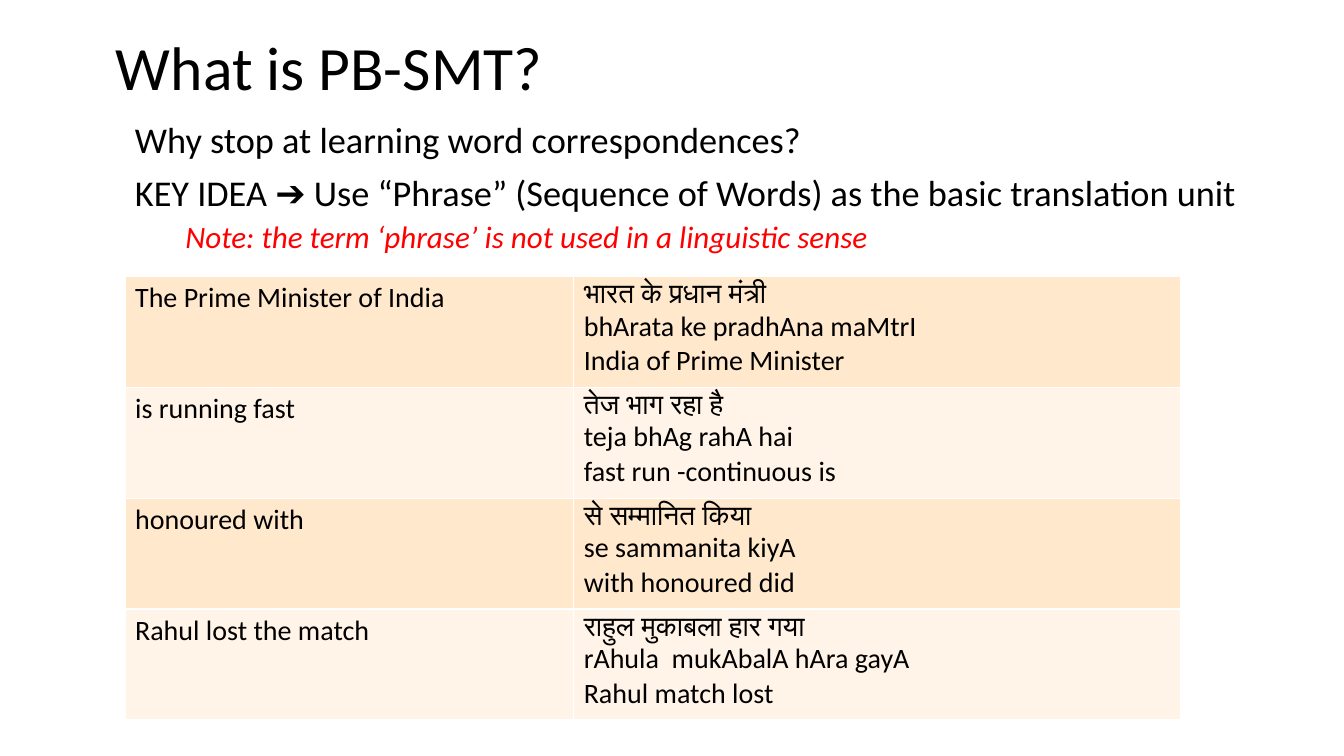
from lxml import etree
from pptx import Presentation
from pptx.dml.color import RGBColor
from pptx.enum.text import MSO_ANCHOR, MSO_AUTO_SIZE, PP_ALIGN
from pptx.oxml.ns import qn
from pptx.util import Inches, Pt

LEFT = PP_ALIGN.LEFT
MIDDLE = MSO_ANCHOR.MIDDLE
NO_FIT = MSO_AUTO_SIZE.NONE
TITLE_ONLY = 5

FONT = "Calibri"
COLORS = {
    "text": "000000",
    "note": "FF0000",
    "dark": "FFE8CC",
    "light": "FFF4E7",
    "edge": "FFFFFF",
}

POINTS = [
    "Why stop at learning word correspondences?",
    "KEY IDEA ➔ Use “Phrase” (Sequence of Words) as the basic translation unit",
]
NOTE = "Note: the term ‘phrase’ is not used in a linguistic sense"
PHRASES = [
    ("The Prime Minister of India",
     "भारत के प्रधान मंत्री\nbhArata ke pradhAna maMtrI\nIndia of Prime Minister"),
    ("is running fast",
     "तेज भाग रहा है\nteja bhAg rahA hai\nfast run -continuous is"),
    ("honoured with",
     "से सम्मानित किया\nse sammanita kiyA\nwith honoured did"),
    ("Rahul lost the match",
     "राहुल मुकाबला हार गया\nrAhula  mukAbalA hAra gayA\nRahul match lost"),
]


def style(para, size, color="text", italic=False):
    para.alignment = LEFT
    para.font.name = FONT
    para.font.size = Pt(size)
    para.font.italic = italic
    para.font.color.rgb = RGBColor.from_string(COLORS[color])


def add_title(slide, text, left, top, width, height):
    title = slide.shapes.title
    title.left, title.top = Inches(left), Inches(top)
    title.width, title.height = Inches(width), Inches(height)
    frame = title.text_frame
    frame.text = text
    frame.auto_size = NO_FIT
    frame.vertical_anchor = MIDDLE
    para = frame.paragraphs[0]
    para.line_spacing = 0.9
    style(para, 44)


def add_points(slide, left, top, width, height):
    box = slide.shapes.add_textbox(
        Inches(left), Inches(top), Inches(width), Inches(height))
    frame = box.text_frame
    frame.word_wrap = True
    frame.text = "\n".join(POINTS + [NOTE])
    for para in frame.paragraphs:
        para.line_spacing = 0.9
        para.space_before = Pt(10)
        style(para, 25.9)
    # The note sits one level in
    para.level = 1
    para.space_before = Pt(5)
    props = para._p.get_or_add_pPr()
    props.set("marL", str(Inches(0.5)))
    props.set("indent", "0")
    style(para, 22.2, "note", italic=True)


def add_edges(cell):
    props = cell._tc.get_or_add_tcPr()
    for spot, side in enumerate(("lnL", "lnR", "lnT", "lnB")):
        line = etree.Element(qn(f"a:{side}"), w=str(Pt(1)))
        fill = etree.SubElement(line, qn("a:solidFill"))
        etree.SubElement(fill, qn("a:srgbClr"), val=COLORS["edge"])
        props.insert(spot, line)


def add_phrases(slide, left, top, widths, tall):
    count = len(PHRASES)
    table = slide.shapes.add_table(
        count, len(widths), Inches(left), Inches(top),
        Inches(sum(widths)), Inches(tall * count)).table
    table.first_row = False
    for col, width in zip(table.columns, widths):
        col.width = Inches(width)
    for index, (row, texts) in enumerate(zip(table.rows, PHRASES)):
        row.height = Inches(tall)
        shade = COLORS["light" if index % 2 else "dark"]
        for cell, text in zip(row.cells, texts):
            cell.text = text
            cell.fill.solid()
            cell.fill.fore_color.rgb = RGBColor.from_string(shade)
            add_edges(cell)
            for para in cell.text_frame.paragraphs:
                style(para, 20)


def main():
    deck = Presentation()
    deck.slide_width, deck.slide_height = Inches(13.33), Inches(7.5)
    slide = deck.slides.add_slide(deck.slide_layouts[TITLE_ONLY])
    add_points(slide, 1.24, 1.16, 11.27, 1.67)
    add_phrases(slide, 1.24, 2.74, (4.45, 6.02), 1.06)
    add_title(slide, "What is PB-SMT?", 1.05, 0.15, 12.28, 1.09)
    deck.save("out.pptx")


if __name__ == "__main__":
    main()
